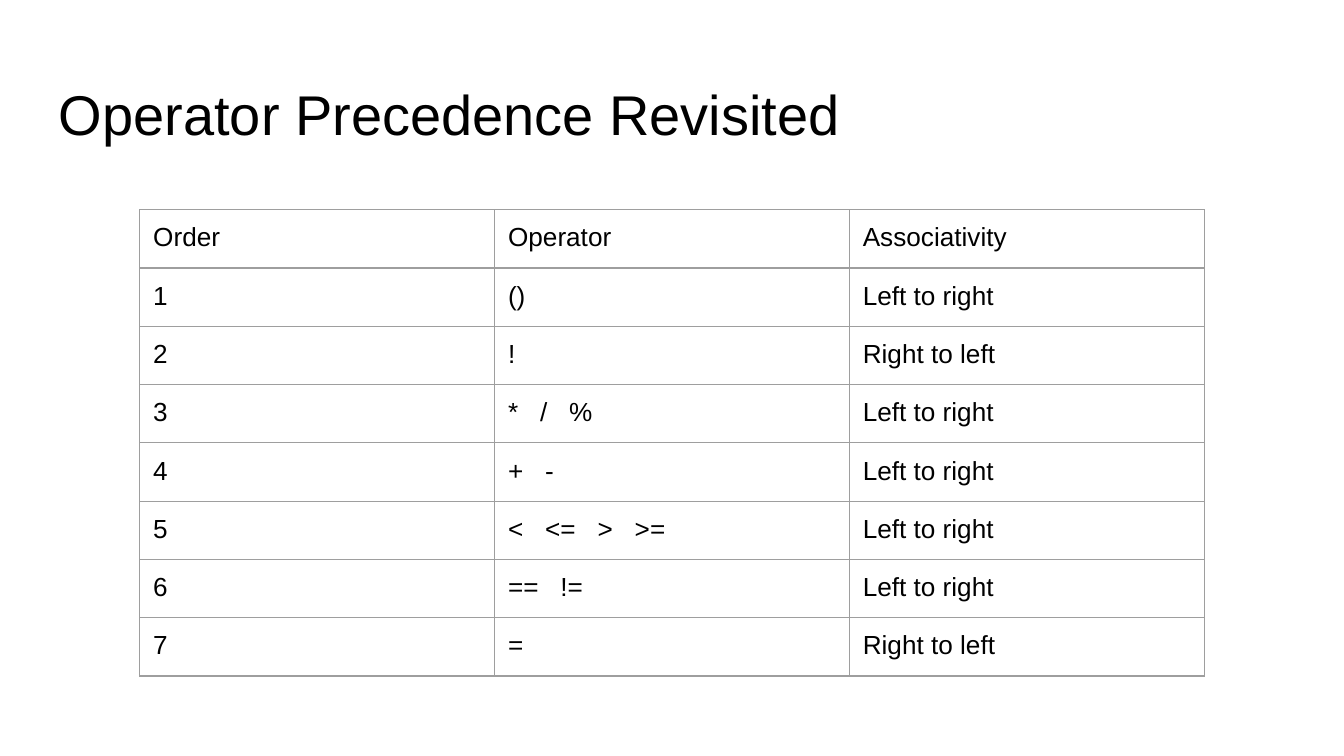
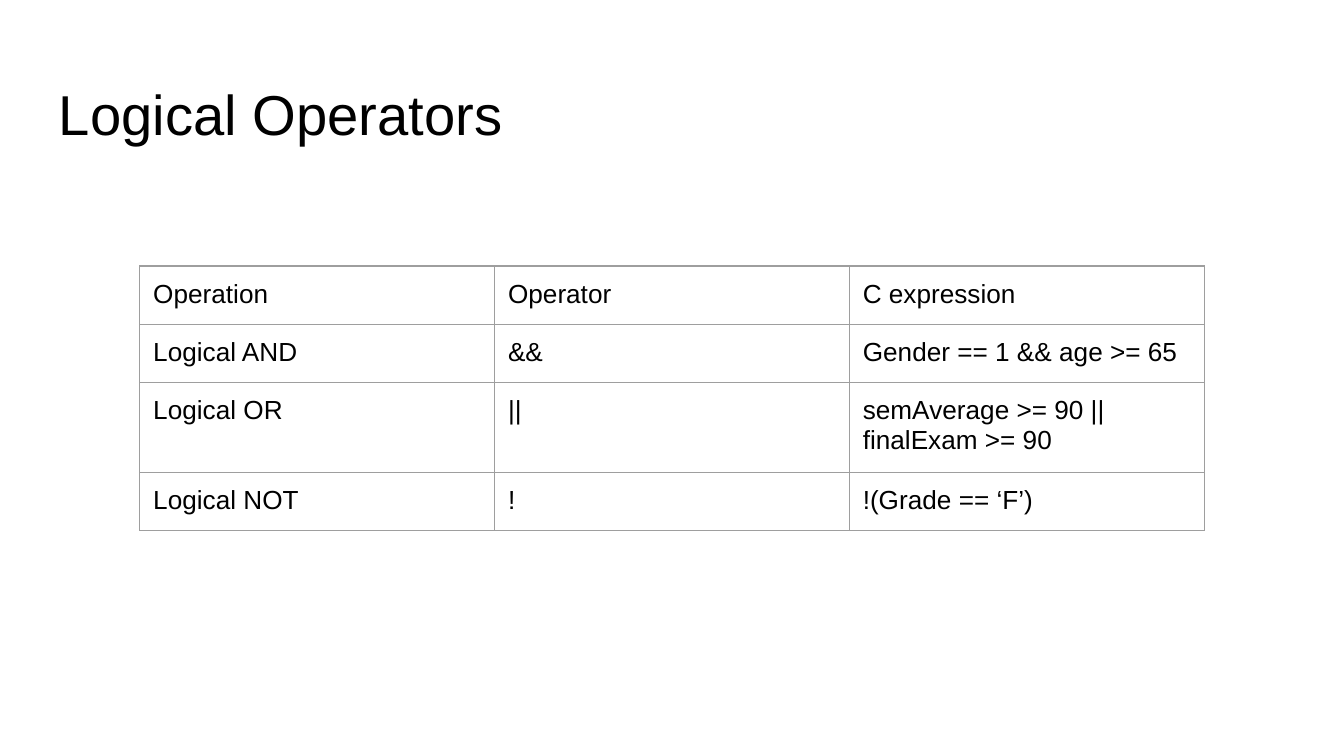
import pptx
import pptx.dml.color
import pptx.enum.text
import pptx.oxml
import pptx.oxml.ns
import pptx.util

Inches = pptx.util.Inches
Pt = pptx.util.Pt
BLACK = pptx.dml.color.RGBColor(0x00, 0x00, 0x00)
GREY = pptx.dml.color.RGBColor(0x9E, 0x9E, 0x9E)
FONT = "Arial"
INSET = Inches(0.1)
LEFT, COL, ROW = 1.04, 2.64, 0.42
LEFTWARD, RIGHTWARD = "Right to left", "Left to right"

ORDER = [
    ("Order", "Operator", "Associativity"),
    ("1", "()", RIGHTWARD),
    ("2", "!", LEFTWARD),
    ("3", "* / %", RIGHTWARD),
    ("4", "+ -", RIGHTWARD),
    ("5", "< <= > >=", RIGHTWARD),
    ("6", "== !=", RIGHTWARD),
    ("7", "=", LEFTWARD),
]
LOGIC = [
    ("Operation", "Operator", "C expression"),
    ("Logical AND", "&&", "Gender == 1 && age >= 65"),
    ("Logical OR", "||", "semAverage >= 90 || finalExam >= 90"),
    ("Logical NOT", "!", "!(Grade == ‘F’)"),
]


def style(para, size):
    font = para.font
    font.size, font.bold = Pt(size), False
    font.color.rgb = BLACK
    for run in para.runs:
        run.font.name = FONT


def set_inset(area):
    area.margin_left = area.margin_right = INSET
    area.margin_top = area.margin_bottom = INSET


def add_title(slide, text, size):
    box = slide.shapes.add_textbox(Inches(0.34), Inches(0.49), Inches(9.32), Inches(0.63))
    frame = box.text_frame
    frame.word_wrap = True
    frame.vertical_anchor = pptx.enum.text.MSO_ANCHOR.TOP
    set_inset(frame)
    para = frame.paragraphs[0]
    para.text = text
    style(para, size)


def add_spaced(para, text):
    for index, part in enumerate(text.split(" ")):
        if index:
            gap = para.add_run()
            gap.text = " "
            gap.font._element.set("spc", "780")
        para.add_run().text = part


def add_border(cell):
    props = cell._tc.get_or_add_tcPr()
    space = pptx.oxml.ns.nsdecls("a")
    for index, side in enumerate("LRTB"):
        line = pptx.oxml.parse_xml(
            f'<a:ln{side} {space} w="{Pt(0.75)}"><a:solidFill>'
            f'<a:srgbClr val="{GREY}"/></a:solidFill></a:ln{side}>')
        props.insert(index, line)


def fill_cell(cell, text, spaced):
    set_inset(cell)
    cell.fill.background()
    add_border(cell)
    para = cell.text_frame.paragraphs[0]
    if spaced:
        add_spaced(para, text)
    else:
        para.text = text
    style(para, 14)


def add_grid(slide, top, rows):
    count = len(rows[0])
    table = slide.shapes.add_table(
        len(rows), count, Inches(LEFT), Inches(top),
        Inches(COL * count), Inches(ROW * len(rows))).table
    table.first_row = table.horz_banding = False
    for col in table.columns:
        col.width = Inches(COL)
    for y, row in enumerate(rows):
        table.rows[y].height = Inches(ROW)
        for x, text in enumerate(row):
            fill_cell(table.cell(y, x), text, x == 1)


def main():
    """Build the two operator slides."""
    deck = pptx.Presentation()
    deck.slide_width = Inches(10)
    deck.slide_height = deck.slide_width * 9 // 16
    for title, size, top, rows in (
        ("Operator Precedence Revisited", 30, 1.56, ORDER),
        ("Logical Operators", 30.1, 1.98, LOGIC),
    ):
        slide = deck.slides.add_slide(deck.slide_layouts[6])
        add_title(slide, title, size)
        add_grid(slide, top, rows)
    deck.save("out.pptx")


main()
